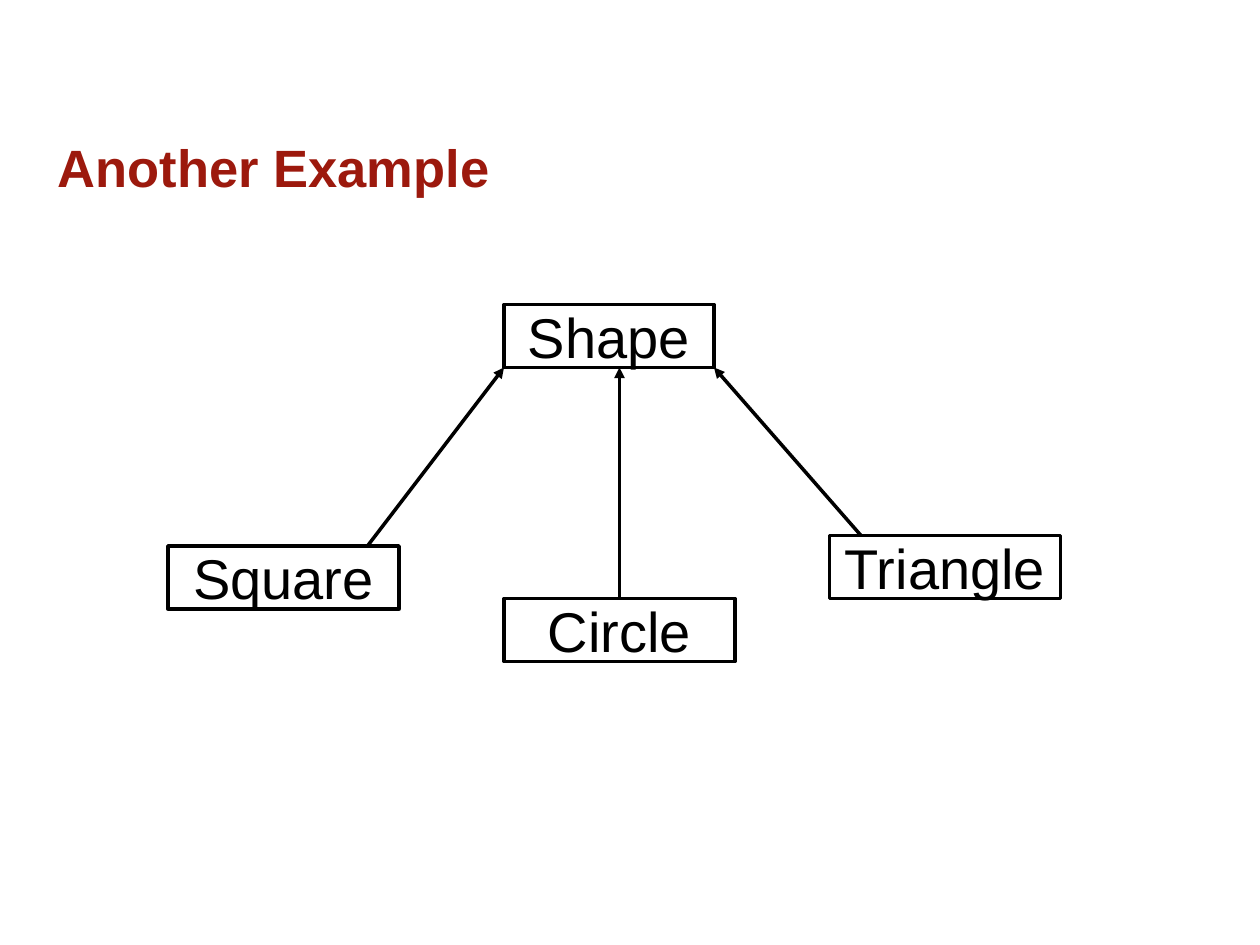
from lxml import etree
from pptx import Presentation
from pptx.dml.color import RGBColor
from pptx.enum.shapes import MSO_CONNECTOR, MSO_SHAPE
from pptx.enum.text import MSO_ANCHOR, PP_ALIGN
from pptx.oxml.ns import qn
from pptx.util import Inches, Pt

STRAIGHT = MSO_CONNECTOR.STRAIGHT
RECTANGLE = MSO_SHAPE.RECTANGLE
MIDDLE = MSO_ANCHOR.MIDDLE
CENTER, LEFT = PP_ALIGN.CENTER, PP_ALIGN.LEFT

BLACK = RGBColor(0x00, 0x00, 0x00)
DARK_RED = RGBColor(0x9C, 0x19, 0x0D)
FONT = "Arial"
TOP_SIDE = 0
CLASS_ROWS = 6
SUBCLASS_COLUMNS = 22


def grid(steps):
    """Length of a number of grid steps, twelve to the inch."""
    return Inches(steps / 12)


def add_run(paragraph, text, size, color, bold=False):
    run = paragraph.add_run()
    run.text = text
    run.font.name = FONT
    run.font.size = Pt(size)
    run.font.bold = bold
    run.font.color.rgb = color


def set_title(slide, text):
    title = slide.shapes.title
    title.left, title.top = Inches(0.36), Inches(0.99)
    title.width, title.height = Inches(9.28), Inches(0.72)
    title.text_frame.vertical_anchor = MIDDLE
    paragraph = title.text_frame.paragraphs[0]
    paragraph.alignment = LEFT
    paragraph.line_spacing = 0.9
    add_run(paragraph, text, 30, DARK_RED, bold=True)


def add_class(slide, name, column, row, columns=SUBCLASS_COLUMNS):
    box = slide.shapes.add_shape(
        RECTANGLE, grid(column), grid(row), grid(columns), grid(CLASS_ROWS))
    box.shadow.inherit = False
    box.fill.background()
    box.line.color.rgb = BLACK
    box.line.width = Pt(2)
    frame = box.text_frame
    frame.word_wrap = False
    frame.vertical_anchor = MIDDLE
    paragraph = frame.paragraphs[0]
    paragraph.alignment = CENTER
    add_run(paragraph, name, 32, BLACK)
    return box


def add_inheritance(slide, start, end):
    """Arrow between two (column, row) points, pointing at the parent class."""
    arrow = slide.shapes.add_connector(STRAIGHT, *map(grid, start + end))
    arrow.line.color.rgb = BLACK
    arrow.line.width = Pt(2)
    etree.SubElement(arrow.line._get_or_add_ln(), qn("a:tailEnd"), type="triangle")
    etree.SubElement(arrow._element.spPr, qn("a:effectLst"))
    return arrow


def main():
    presentation = Presentation()
    presentation.slide_width, presentation.slide_height = Inches(10), Inches(7.5)
    slide = presentation.slides.add_slide(presentation.slide_layouts[5])
    set_title(slide, "Another Example")

    parent_left, parent_top, parent_columns = 48, 29, 20
    parent_right = parent_left + parent_columns
    parent_bottom = parent_top + CLASS_ROWS
    circle_row, triangle_row, square_row = 57, 51, 52

    add_class(slide, "Shape", parent_left, parent_top, parent_columns)
    circle = add_class(slide, "Circle", parent_left, circle_row)
    add_class(slide, "Triangle", 79, triangle_row)
    add_class(slide, "Square", 16, square_row)

    circle_middle = parent_left + SUBCLASS_COLUMNS / 2
    circle_arrow = add_inheritance(
        slide, (circle_middle, circle_row), (circle_middle, parent_bottom))
    circle_arrow.begin_connect(circle, TOP_SIDE)
    add_inheritance(slide, (35, square_row), (parent_left, parent_bottom))
    add_inheritance(slide, (82, triangle_row), (parent_right, parent_bottom))

    presentation.save("out.pptx")


if __name__ == "__main__":
    main()
